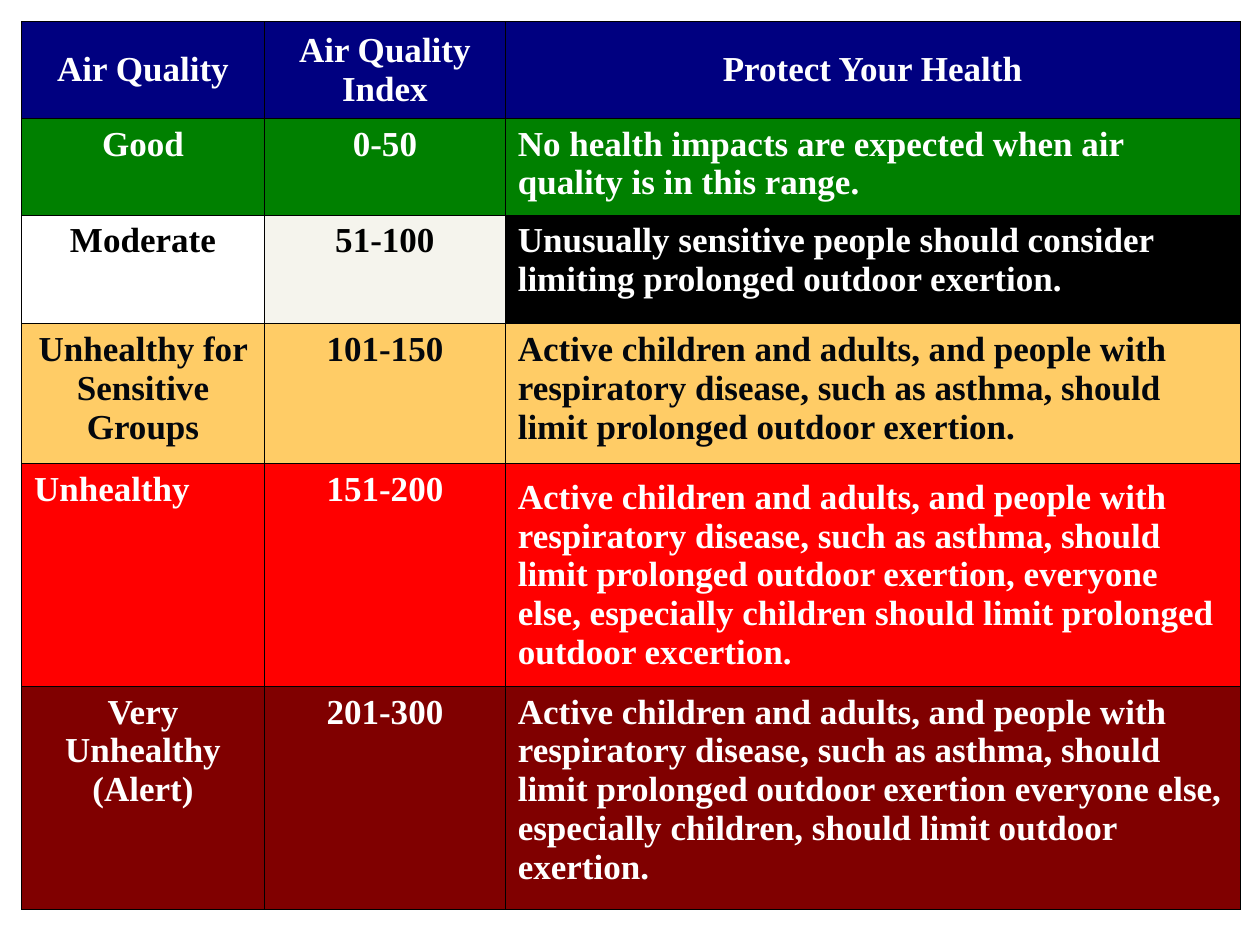
import pptx
import pptx.dml.color
import pptx.enum.text
import pptx.oxml
import pptx.oxml.ns
import pptx.util

COLOURS = {
    "navy": "000080", "green": "008000", "white": "FFFFFF", "ivory": "F5F4ED",
    "black": "000000", "amber": "FFCC66", "ink": "03070D", "red": "FF0000",
    "maroon": "800000",
}
ALIGN = pptx.enum.text.PP_ALIGN
ANCHOR = pptx.enum.text.MSO_ANCHOR
COLUMN_WIDTHS = [1.93, 1.91, 5.83]
ROW_HEIGHTS = [0.77, 0.77, 0.86, 1.11, 1.77, 1.77]
MARGIN = 0.17

ADVICE = ("Active children and adults, and people with respiratory disease, "
          "such as asthma, should limit prolonged outdoor exertion")

# Each row: texts, fills, text colours
LEVELS = [
    (["Air Quality", "Air Quality Index", "Protect Your Health"],
     ["navy"] * 3, ["white"] * 3),
    (["Good", "0-50",
      "No health impacts are expected when air quality is in this range."],
     ["green"] * 3, ["white"] * 3),
    (["Moderate", "51-100",
      "Unusually sensitive people should consider limiting prolonged outdoor exertion."],
     ["white", "ivory", "black"], ["black", "black", "white"]),
    (["Unhealthy for Sensitive Groups", "101-150", ADVICE + "."],
     ["amber"] * 3, ["ink"] * 3),
    (["Unhealthy", "151-200",
      ADVICE + ", everyone else, especially children should limit prolonged outdoor excertion."],
     ["red"] * 3, ["white"] * 3),
    (["Very Unhealthy (Alert)", "201-300",
      ADVICE + " everyone else, especially children, should limit outdoor exertion."],
     ["maroon"] * 3, ["white"] * 3),
]
LEFT_ALIGNED = {(4, 0)} | {(row, 2) for row in range(1, len(LEVELS))}
MIDDLE_ANCHORED = {(0, 0), (0, 1), (0, 2), (4, 2)}


def rgb(name):
    return pptx.dml.color.RGBColor.from_string(COLOURS[name])


class SlideWriter:
    font_name = "Times New Roman"
    font_size = pptx.util.Pt(20)
    border_width = pptx.util.Pt(0.34)

    def __init__(self, page):
        self.page = page

    def table(self, left, top, widths, heights):
        inches = pptx.util.Inches
        frame = self.page.shapes.add_table(
            len(heights), len(widths), inches(left), inches(top),
            inches(sum(widths)), inches(sum(heights)))
        for column, width in zip(frame.table.columns, widths):
            column.width = inches(width)
        for row, height in zip(frame.table.rows, heights):
            row.height = inches(height)
        return frame.table

    def cell(self, cell, text, fill, colour, align, anchor):
        self.borders(cell)
        cell.fill.solid()
        cell.fill.fore_color.rgb = rgb(fill)
        cell.vertical_anchor = anchor
        para = cell.text_frame.paragraphs[0]
        para.alignment = align
        span = para.add_run()
        span.text = text
        span.font.name = self.font_name
        span.font.size = self.font_size
        span.font.bold = True
        span.font.color.rgb = rgb(colour)

    def borders(self, cell):
        """Outline all four sides; must run before the fill is set."""
        properties = cell._tc.get_or_add_tcPr()
        for side in ("lnL", "lnR", "lnT", "lnB"):
            properties.append(pptx.oxml.parse_xml(
                f'<a:{side} {pptx.oxml.ns.nsdecls("a")} w="{self.border_width}">'
                f'<a:solidFill><a:srgbClr val="{COLOURS["black"]}"/></a:solidFill>'
                f'</a:{side}>'))


def main():
    deck = pptx.Presentation()
    deck.slide_width = pptx.util.Inches(10)
    deck.slide_height = pptx.util.Inches(7.5)
    writer = SlideWriter(deck.slides.add_slide(deck.slide_layouts[6]))
    table = writer.table(MARGIN, MARGIN, COLUMN_WIDTHS, ROW_HEIGHTS)
    for row, level in enumerate(LEVELS):
        for column, (text, fill, colour) in enumerate(zip(*level)):
            place = (row, column)
            writer.cell(
                table.cell(row, column), text, fill, colour,
                ALIGN.LEFT if place in LEFT_ALIGNED else ALIGN.CENTER,
                ANCHOR.MIDDLE if place in MIDDLE_ANCHORED else ANCHOR.TOP)
    deck.save("out.pptx")


if __name__ == "__main__":
    main()
